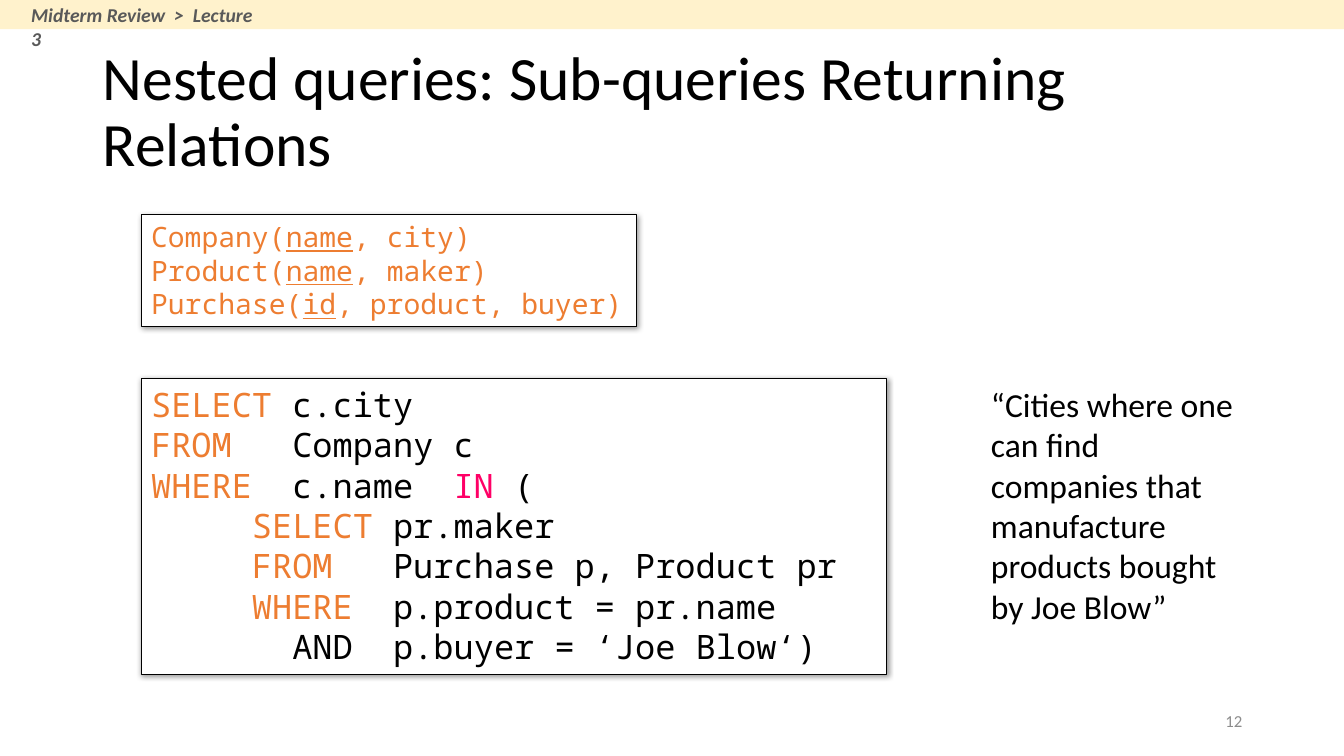
import pptx
import pptx.dml.color
import pptx.enum.shapes
import pptx.enum.text
import pptx.oxml
import pptx.oxml.ns
import pptx.util
from pptx.util import Inches

COLORS = {
    "white": "FFFFFF",
    "black": "000000",
    "band": "FFF2CC",
    "breadcrumb": "595959",
    "page": "8C8C8C",
    "keyword": "ED7D31",
    "operator": "FF0066",
}

# Each line is a list of (text, colour, underlined) runs.
SCHEMA = [
    [(f"{table}(", "keyword", False), (key, "keyword", True), (f", {columns})", "keyword", False)]
    for table, key, columns in [
        ("Company", "name", "city"),
        ("Product", "name", "maker"),
        ("Purchase", "id", "product, buyer"),
    ]
]
QUERY = [
    [(text, color, False) for text, color in line]
    for line in [
        [("SELECT ", "keyword"), ("c.city", "black")],
        [("FROM", "keyword"), ("   Company c", "black")],
        [("WHERE  ", "keyword"), ("c.name  ", "black"), ("IN ", "operator"), ("(", "black")],
        [("     SELECT ", "keyword"), ("pr.maker", "black")],
        [("     FROM   ", "keyword"), ("Purchase p, Product pr", "black")],
        [("     WHERE  ", "keyword"), ("p.product = pr.name", "black")],
        [("       AND  p.buyer = ‘Joe Blow‘)", "black")],
    ]
]


def rgb(name):
    return pptx.dml.color.RGBColor.from_string(COLORS[name])


def add_rectangle(slide, left, top, width, height, fill):
    shape = slide.shapes.add_shape(
        pptx.enum.shapes.MSO_SHAPE.RECTANGLE,
        Inches(left), Inches(top), Inches(width), Inches(height))
    shape.shadow.inherit = False
    shape.fill.solid()
    shape.fill.fore_color.rgb = rgb(fill)
    shape.line.fill.background()
    return shape


def add_soft_shadow(shape):
    effects = shape._element.spPr.find(pptx.oxml.ns.qn("a:effectLst"))
    effects.append(pptx.oxml.parse_xml(
        f'<a:outerShdw {pptx.oxml.ns.nsdecls("a")} blurRad="50800" dist="12700"'
        ' dir="2700000" algn="tl" rotWithShape="0">'
        f'<a:srgbClr val="{COLORS["black"]}"><a:alpha val="40000"/></a:srgbClr>'
        '</a:outerShdw>'))


def add_text(slide, left, top, width, height, text, size, color="black", middle=False):
    """Add a wrapped one-paragraph text box and return its paragraph."""
    box = slide.shapes.add_textbox(Inches(left), Inches(top), Inches(width), Inches(height))
    frame = box.text_frame
    frame.word_wrap = True
    if middle:
        frame.vertical_anchor = pptx.enum.text.MSO_ANCHOR.MIDDLE
    paragraph = frame.paragraphs[0]
    paragraph.text = text
    paragraph.font.name = "Calibri"
    paragraph.font.size = pptx.util.Pt(size)
    paragraph.font.color.rgb = rgb(color)
    return paragraph


def add_code_box(slide, left, top, width, height, lines, size, wrap):
    shape = add_rectangle(slide, left, top, width, height, "white")
    shape.line.color.rgb = rgb("black")
    shape.line.width = pptx.util.Pt(0.75)
    add_soft_shadow(shape)
    frame = shape.text_frame
    frame.word_wrap = wrap
    frame.vertical_anchor = pptx.enum.text.MSO_ANCHOR.TOP
    for index, line in enumerate(lines):
        paragraph = frame.add_paragraph() if index else frame.paragraphs[0]
        paragraph.alignment = pptx.enum.text.PP_ALIGN.LEFT
        paragraph.font.name = "Noto Sans Mono"
        paragraph.font.size = pptx.util.Pt(size)
        for text, color, underlined in line:
            run = paragraph.add_run()
            run.text = text
            run.font.color.rgb = rgb(color)
            if underlined:
                run.font.underline = True


def main():
    presentation = pptx.Presentation()
    presentation.slide_width = Inches(13.33)
    presentation.slide_height = Inches(7.5)
    slide = presentation.slides.add_slide(presentation.slide_layouts[6])

    page = add_text(slide, 9.42, 6.95, 3, 0.4, "12", 12, "page", middle=True)
    page.alignment = pptx.enum.text.PP_ALIGN.RIGHT
    title = add_text(slide, 0.92, 0.4, 11.5, 1.45,
                     "Nested queries: Sub-queries Returning Relations", 44, middle=True)
    title.line_spacing = 0.9

    add_code_box(slide, 1.4, 3.76, 7.39, 2.93, QUERY, 24, wrap=True)
    add_text(slide, 9.73, 3.76, 2.68, 2.6,
             "“Cities where one can find companies that manufacture products bought by Joe Blow”", 24)
    add_code_box(slide, 1.4, 2.13, 4.91, 1.11, SCHEMA, 20, wrap=False)

    add_rectangle(slide, 0, 0, 13.33, 0.29, "band")
    breadcrumb = add_text(slide, 0.21, -0.02, 2.48, 0.34,
                          "Midterm Review  >  Lecture 3", 14, "breadcrumb")
    breadcrumb.font.bold = True
    breadcrumb.font.italic = True

    presentation.save("out.pptx")


if __name__ == "__main__":
    main()
